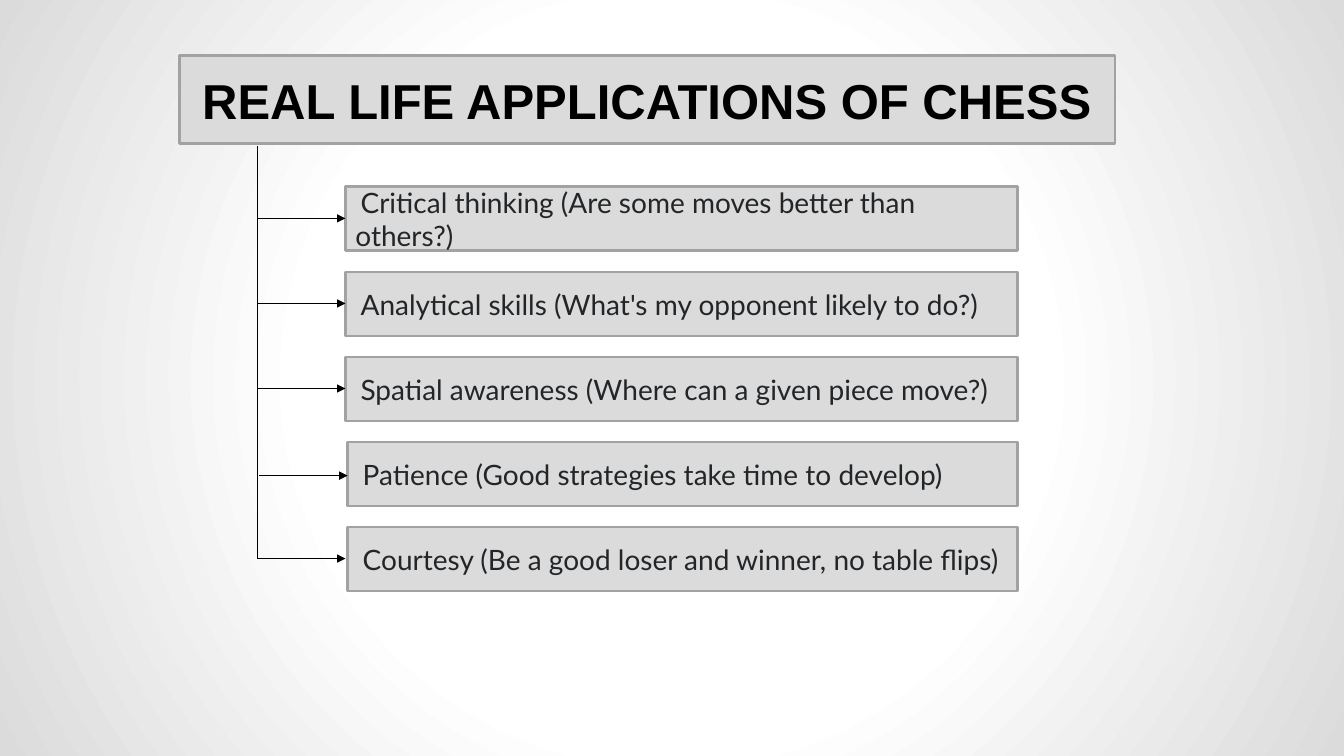
from dataclasses import dataclass

from pptx import Presentation
from pptx.dml.color import RGBColor
from pptx.enum.shapes import MSO_CONNECTOR, MSO_SHAPE
from pptx.enum.text import MSO_ANCHOR, MSO_AUTO_SIZE, PP_ALIGN
from pptx.oxml import parse_xml
from pptx.oxml.ns import nsdecls, qn
from pptx.util import Pt

EMU_PER_PX = 9525


@dataclass(frozen=True)
class Theme:
    white: str = "FFFFFF"
    panel: str = "DBDBDB"
    border: str = "A2A2A2"
    title: str = "000000"
    body: str = "232629"
    line: str = "000000"
    title_font: str = "Arial"
    body_font: str = "Lato"
    title_size: int = 35
    body_size: int = 20
    border_width: float = 2
    line_width: float = 0.75


THEME = Theme()

SKILLS = [
    ("Critical thinking (Are some moves better than others?)", 329),
    ("Analytical skills (What's my opponent likely to do?)", 329),
    ("Spatial awareness (Where can a given piece move?)", 329),
    ("Patience (Good strategies take time to develop)", 331),
    ("Courtesy (Be a good loser and winner, no table flips)", 331),
]
BOX_TOP, BOX_RIGHT, BOX_HEIGHT, BOX_PITCH = 178, 969, 61, 81
TRUNK_LEFT, TRUNK_TOP, ARROW_TOP, ARROW_LENGTH = 245, 139, 208, 84
ARROW_OFFSETS = [(0, 0), (0, 0), (0, 0), (2, 2), (0, 0)]


def px(length):
    return length * EMU_PER_PX


def color(value):
    return RGBColor.from_string(value)


def set_background(slide):
    stops = [(0, THEME.white), (48, THEME.white), (100, THEME.panel)]
    stops_xml = "".join(
        f'<a:gs pos="{position * 1000}"><a:srgbClr val="{value}"/></a:gs>'
        for position, value in stops
    )
    background = parse_xml(
        f'<p:bg {nsdecls("p", "a")}><p:bgPr><a:gradFill rotWithShape="1">'
        f"<a:gsLst>{stops_xml}</a:gsLst>"
        '<a:path path="circle"><a:fillToRect l="50000" t="50000" r="50000" b="50000"/>'
        "</a:path></a:gradFill><a:effectLst/></p:bgPr></p:bg>"
    )
    slide.element.find(qn("p:cSld")).insert(0, background)


def style_panel(shape, text, font_name, font_size, font_color, alignment):
    shape.fill.solid()
    shape.fill.fore_color.rgb = color(THEME.panel)
    shape.line.color.rgb = color(THEME.border)
    shape.line.width = Pt(THEME.border_width)
    frame = shape.text_frame
    frame.text = text
    frame.word_wrap = True
    frame.auto_size = MSO_AUTO_SIZE.NONE
    frame.vertical_anchor = MSO_ANCHOR.MIDDLE
    paragraph = frame.paragraphs[0]
    paragraph.alignment = alignment
    paragraph.font.name = font_name
    paragraph.font.size = Pt(font_size)
    paragraph.font.color.rgb = color(font_color)
    return paragraph


def add_title(slide, text, left, top, width, height):
    title = slide.shapes.title
    title.left, title.top = px(left), px(top)
    title.width, title.height = px(width), px(height)
    paragraph = style_panel(
        title, text, THEME.title_font, THEME.title_size, THEME.title, PP_ALIGN.CENTER
    )
    paragraph.font.bold = True


def add_skill_box(slide, text, left, top):
    box = slide.shapes.add_shape(
        MSO_SHAPE.RECTANGLE, px(left), px(top), px(BOX_RIGHT - left), px(BOX_HEIGHT)
    )
    box.shadow.inherit = False
    paragraph = style_panel(
        box, text, THEME.body_font, THEME.body_size, THEME.body, PP_ALIGN.LEFT
    )
    properties = paragraph._p.get_or_add_pPr()
    properties.set("marL", "0")
    properties.set("indent", str(px(5)))


def add_line(slide, start, end, arrow=False):
    connector = slide.shapes.add_connector(
        MSO_CONNECTOR.STRAIGHT, *map(px, start), *map(px, end)
    )
    connector.line.color.rgb = color(THEME.line)
    connector.line.width = Pt(THEME.line_width)
    if arrow:
        connector.line._get_or_add_ln().append(
            parse_xml(f'<a:tailEnd {nsdecls("a")} type="triangle"/>')
        )
    connector._element.spPr.append(parse_xml(f'<a:effectLst {nsdecls("a")}/>'))


def main():
    presentation = Presentation()
    presentation.slide_width = px(1280)
    presentation.slide_height = px(720)
    slide = presentation.slides.add_slide(presentation.slide_layouts[5])
    set_background(slide)
    add_title(slide, "REAL LIFE APPLICATIONS OF CHESS", 171, 53, 891, 84)

    for row, (text, left) in enumerate(SKILLS):
        add_skill_box(slide, text, left, BOX_TOP + row * BOX_PITCH)

    trunk_bottom = ARROW_TOP + (len(SKILLS) - 1) * BOX_PITCH
    add_line(slide, (TRUNK_LEFT, TRUNK_TOP), (TRUNK_LEFT, trunk_bottom))
    for row, (shift_x, shift_y) in enumerate(ARROW_OFFSETS):
        left = TRUNK_LEFT + shift_x
        top = ARROW_TOP + row * BOX_PITCH + shift_y
        add_line(slide, (left, top), (left + ARROW_LENGTH, top), arrow=True)

    presentation.save("out.pptx")


if __name__ == "__main__":
    main()
